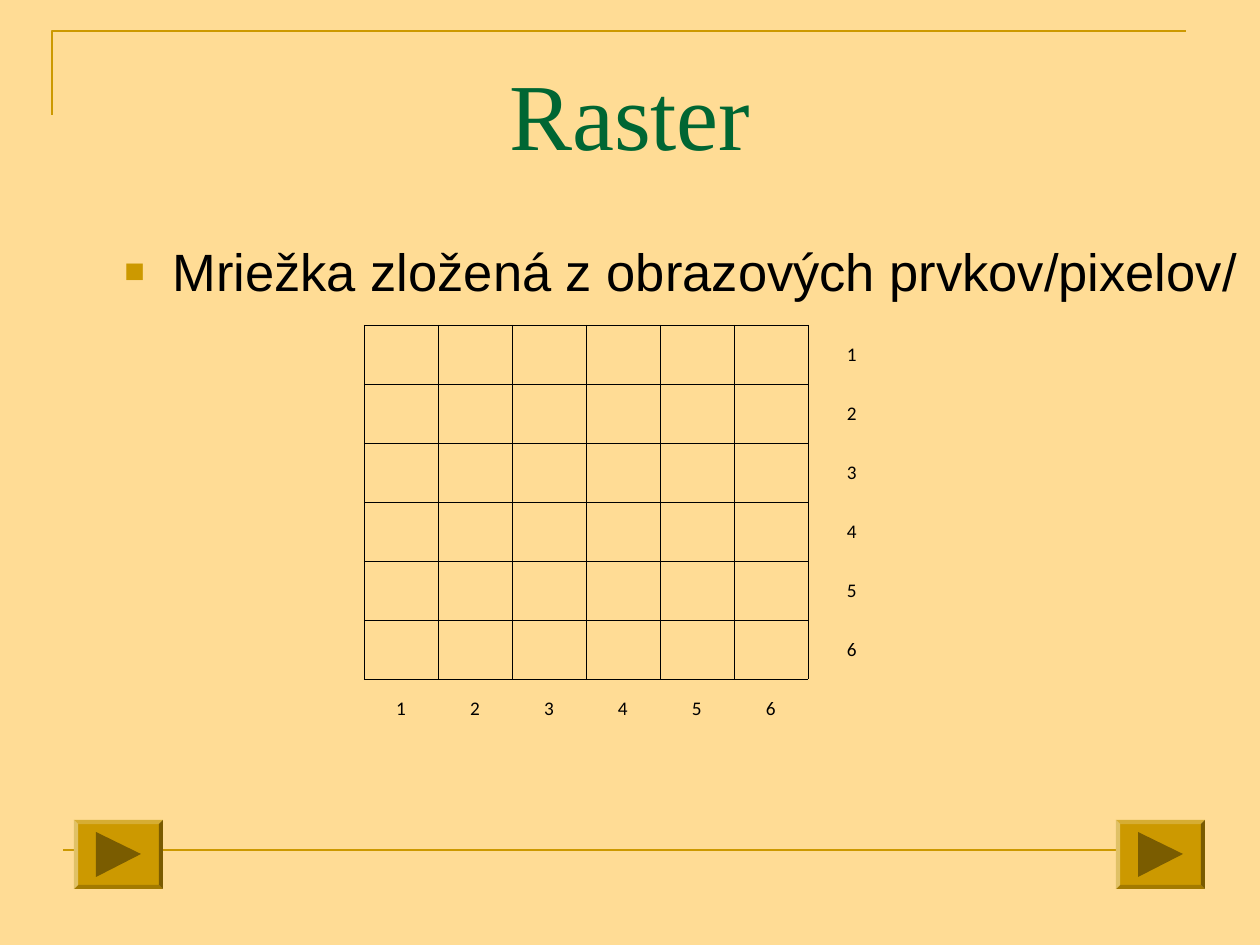
from lxml.etree import SubElement
from pptx import Presentation
from pptx.dml.color import RGBColor
from pptx.enum.shapes import MSO_CONNECTOR, MSO_SHAPE
from pptx.enum.text import MSO_ANCHOR, PP_ALIGN
from pptx.oxml.ns import qn
from pptx.util import Emu, Pt

GOLD = RGBColor(0xCC, 0x99, 0x00)
DARK_GOLD = RGBColor(0x7A, 0x5C, 0x00)
SAND = RGBColor(0xFF, 0xDC, 0x95)
GREEN = RGBColor(0x00, 0x66, 0x33)
BLACK = RGBColor(0x00, 0x00, 0x00)
SCALE = 914400 / 126  # EMU per px
NO_GRID_STYLE = "{2D5ABB26-0587-4C30-8999-92F81FD0307C}"


def px(length):
    return Emu(round(length * SCALE))


def add_outline(slide, points, closed):
    builder = slide.shapes.build_freeform(*points[0], scale=SCALE)
    builder.add_line_segments(points[1:], close=closed)
    shape = builder.convert_to_shape()
    shape.shadow.inherit = False
    return shape


def set_font(paragraph, name, size, color):
    paragraph.font.name = name
    paragraph.font.size = Pt(size)
    paragraph.font.color.rgb = color


def add_text(slide, box, text, top_margin):
    frame = slide.shapes.add_textbox(*map(px, box)).text_frame
    frame.word_wrap = True
    frame.margin_top = px(top_margin)
    paragraph = frame.paragraphs[0]
    paragraph.text = text
    return paragraph


def add_frame(slide, left, top, width, height):
    # Corner line at the top left
    corner = add_outline(
        slide, [(left, top + height), (left, top), (left + width, top)], False)
    corner.fill.background()
    # Rule along the bottom
    rule = slide.shapes.add_connector(
        MSO_CONNECTOR.STRAIGHT, px(63), px(850), px(1197), px(850))
    SubElement(rule._element.spPr, qn("a:effectLst"))
    for line in (corner.line, rule.line):
        line.color.rgb = GOLD
        line.width = Pt(1.5)


def add_title(slide, box):
    paragraph = add_text(slide, box, "Raster", 18)
    paragraph.alignment = PP_ALIGN.CENTER
    set_font(paragraph, "Times New Roman", 54, GREEN)


def add_body(slide, box):
    paragraph = add_text(
        slide, box, "Mriežka zložená z obrazových prvkov/pixelov/", 12)
    properties = paragraph._p.get_or_add_pPr()
    properties.set("marL", str(px(48)))
    properties.set("indent", str(-px(48)))
    bullet_color = SubElement(properties, qn("a:buClr"))
    SubElement(bullet_color, qn("a:srgbClr"), val=str(GOLD))
    SubElement(properties, qn("a:buSzPct"), val="65000")
    SubElement(properties, qn("a:buFont"), typeface="Arial")
    SubElement(properties, qn("a:buChar"), char="■")
    set_font(paragraph, "Arial", 30, BLACK)


def add_button(slide, left, top):
    button = slide.shapes.add_shape(
        MSO_SHAPE.BEVEL, px(left), px(top), px(89), px(69))
    button.adjustments[0] = 0.06
    button.shadow.inherit = False
    arrow = add_outline(slide, [(left + 22, top + 12), (left + 67, top + 34),
                                (left + 22, top + 57)], True)
    for shape, color in ((button, GOLD), (arrow, DARK_GOLD)):
        shape.fill.solid()
        shape.fill.fore_color.rgb = color
        shape.line.fill.background()


def set_borders(cell, sides):
    properties = cell._tc.get_or_add_tcPr()
    for side in sides:
        line = SubElement(properties, qn(f"a:ln{side}"), w=str(Pt(0.23)))
        fill = SubElement(line, qn("a:solidFill"))
        SubElement(fill, qn("a:srgbClr"), val=str(BLACK))


def add_raster(slide, left, top, count=6):
    column, label_column, row_height = 74, 88, 59
    shape = slide.shapes.add_table(
        count + 1, count + 1, px(left), px(top),
        px(count * column + label_column), px((count + 1) * row_height))
    table = shape.table
    table.first_row = table.horz_banding = False
    table._tbl.tblPr.find(qn("a:tableStyleId")).text = NO_GRID_STYLE
    for index in range(count + 1):
        table.columns[index].width = px(column if index < count else label_column)
        table.rows[index].height = px(row_height)

    # The last row and column carry the labels, the rest is the grid
    for row in range(count + 1):
        for col in range(count + 1):
            cell = table.cell(row, col)
            in_grid = row < count and col < count
            is_corner = row == col == count
            if in_grid:
                set_borders(cell, "LRTB")
            elif not is_corner:
                set_borders(cell, "L" if col == count else "T")
                cell.text = str(min(row, col) + 1 if row == col else
                                (row if col == count else col) + 1)
                cell.vertical_anchor = MSO_ANCHOR.MIDDLE
                cell.margin_left = cell.margin_right = px(1)
                paragraph = cell.text_frame.paragraphs[0]
                paragraph.alignment = PP_ALIGN.CENTER
                set_font(paragraph, "Calibri", 11, BLACK)
            cell.fill.background()


def main():
    presentation = Presentation()
    presentation.slide_width = px(1260)
    presentation.slide_height = px(945)
    slide = presentation.slides.add_slide(presentation.slide_layouts[6])
    slide.background.fill.solid()
    slide.background.fill.fore_color.rgb = SAND

    add_frame(slide, 52, 31, 1134, 84)
    add_title(slide, (63, 38, 1134, 157))
    add_body(slide, (112, 227, 1148, 624))
    for left in (74, 1116):
        add_button(slide, left, 820)
    add_raster(slide, 364, 325)
    presentation.save("out.pptx")


if __name__ == "__main__":
    main()
